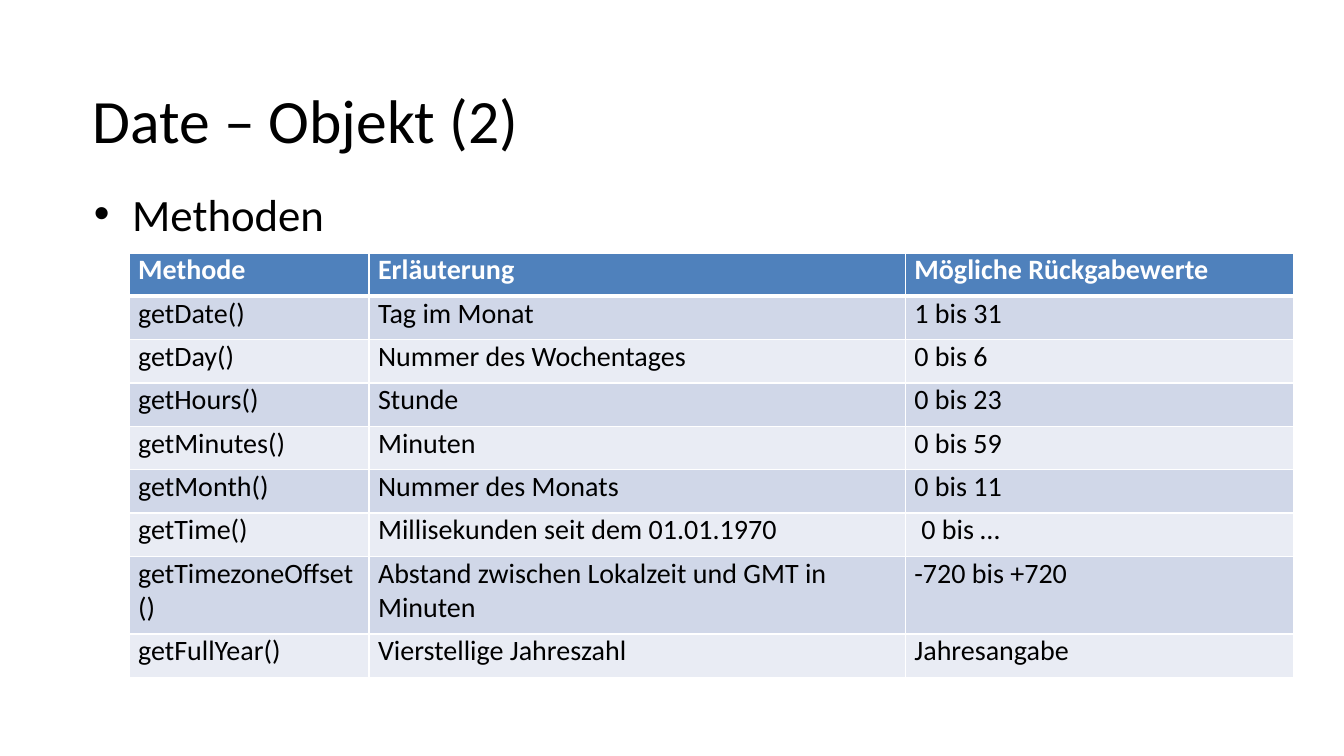
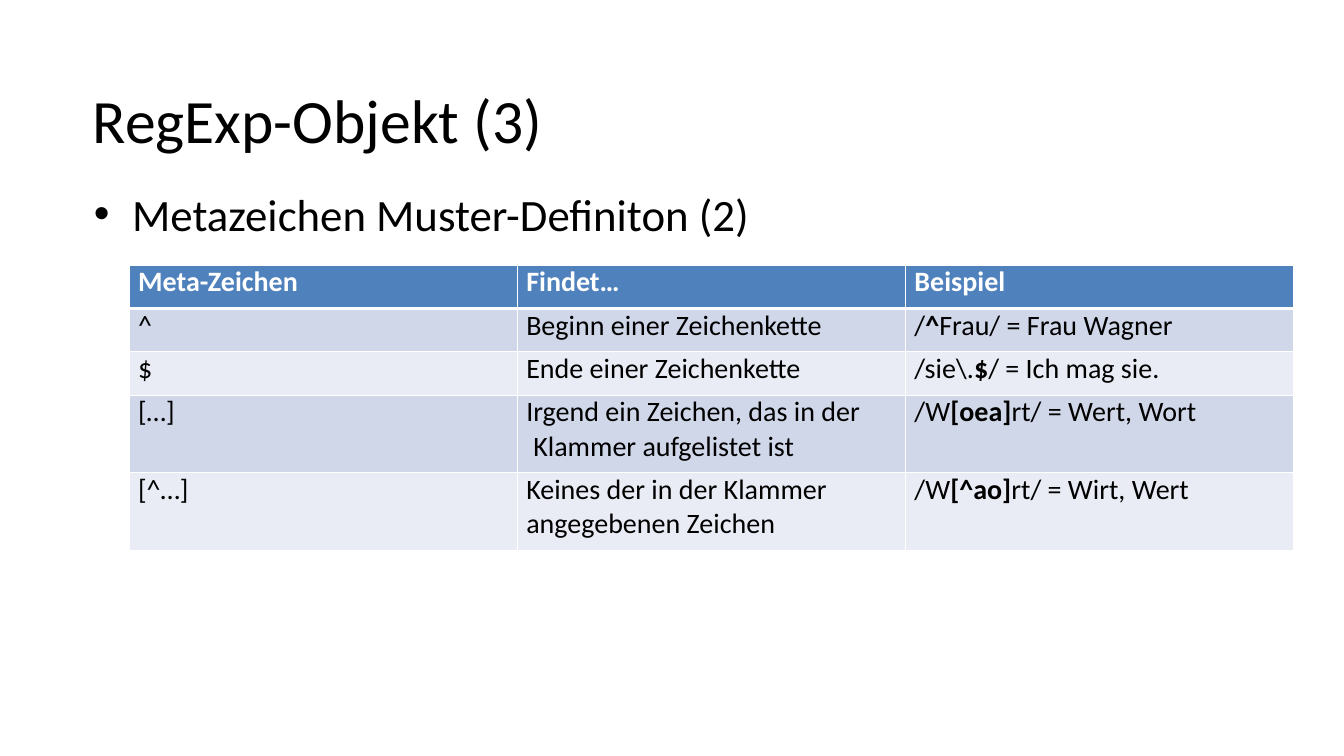
from lxml import etree
from pptx import Presentation, util as u
from pptx.dml.color import RGBColor
from pptx.enum import text
from pptx.oxml.ns import qn

# Shared style
FONT = "Calibri"
BLACK, WHITE = "000000", "FFFFFF"
HEADER_FILL, BAND_FILLS = "4F81BC", ("D0D7E8", "E9ECF4")
TITLE_BOX = (0.92, 0.5, 11.5, 1.35)
TITLE_FONT = {"name": FONT, "size": u.Pt(44), "bold": False}
BULLET_FONT = {"name": FONT, "size": u.Pt(32), "bold": False}
CELL_FONT = {"name": FONT, "size": u.Pt(20)}
FRAME = {"margin_left": 0, "margin_top": 0, "margin_right": 0, "margin_bottom": 0,
         "word_wrap": True, "auto_size": text.MSO_AUTO_SIZE.NONE}
CELL_MARGINS = {"margin_left": u.Inches(0.09), "margin_top": 0,
                "margin_right": 0, "margin_bottom": 0}
ROW_HEIGHT, EXTRA_LINE = 0.43, 0.34
LINE_INDENT = 0.07

# Table content: ** switches bold, a leading > indents the line
DATE_ROWS = [
    ("Methode", "Erläuterung", "Mögliche Rückgabewerte"),
    ("getDate()", "Tag im Monat", "1 bis 31"),
    ("getDay()", "Nummer des Wochentages", "0 bis 6"),
    ("getHours()", "Stunde", "0 bis 23"),
    ("getMinutes()", "Minuten", "0 bis 59"),
    ("getMonth()", "Nummer des Monats", "0 bis 11"),
    ("getTime()", "Millisekunden seit dem 01.01.1970", ">0 bis …"),
    ("getTimezoneOffset\n()", "Abstand zwischen Lokalzeit und GMT in\nMinuten",
     "-720 bis +720"),
    ("getFullYear()", "Vierstellige Jahreszahl", "Jahresangabe"),
]
REGEXP_ROWS = [
    ("Meta-Zeichen", "Findet…", "Beispiel"),
    ("^", "Beginn einer Zeichenkette", "/**^**Frau/ = Frau Wagner"),
    ("$", "Ende einer Zeichenkette", "/sie\\.**$**/ = Ich mag sie."),
    ("[…]", "Irgend ein Zeichen, das in der\n>Klammer aufgelistet ist",
     "/W**[oea]**rt/ = Wert, Wort"),
    ("[^…]", "Keines der in der Klammer\nangegebenen Zeichen",
     "/W**[^ao]**rt/ = Wirt, Wert"),
]


def color(value):
    return RGBColor.from_string(value)


def apply(target, values):
    for name, value in values.items():
        setattr(target, name, value)


def place(shape, box):
    names = ("left", "top", "width", "height")
    apply(shape, dict(zip(names, map(u.Inches, box))))


def fill_placeholder(shape, box, words, font, anchor):
    place(shape, box)
    frame = shape.text_frame
    apply(frame, FRAME)
    frame.vertical_anchor = anchor
    frame.text = words
    paragraph = frame.paragraphs[0]
    apply(paragraph, {"alignment": text.PP_ALIGN.LEFT, "space_before": u.Pt(0)})
    apply(paragraph.font, font)
    paragraph.font.color.rgb = color(BLACK)
    return paragraph


def add_borders(cell, widths):
    properties = cell._tc.get_or_add_tcPr()
    for side, points in widths.items():
        line = etree.SubElement(properties, qn(f"a:ln{side}"), w=str(u.Pt(points)))
        solid = etree.SubElement(line, qn("a:solidFill"))
        etree.SubElement(solid, qn("a:srgbClr"), val=WHITE)


def write_cell(cell, words, text_color, bold):
    apply(cell, CELL_MARGINS)
    frame = cell.text_frame
    for index, line in enumerate(words.split("\n")):
        paragraph = frame.add_paragraph() if index else frame.paragraphs[0]
        if line.startswith(">"):
            paragraph._p.get_or_add_pPr().set("marL", str(u.Inches(LINE_INDENT)))
        for part, piece in enumerate(line.removeprefix(">").split("**")):
            run = paragraph.add_run()
            run.text = piece
            apply(run.font, {**CELL_FONT, "bold": bold or part % 2 == 1})
            run.font.color.rgb = color(text_color)


def add_method_table(slide, left, top, widths, rows):
    heights = [ROW_HEIGHT + EXTRA_LINE * max(words.count("\n") for words in row)
               for row in rows]
    box = map(u.Inches, (left, top, sum(widths), sum(heights)))
    table = slide.shapes.add_table(len(rows), len(widths), *box).table
    apply(table, {"first_row": False, "horz_banding": False})
    for column, width in zip(table.columns, widths):
        column.width = u.Inches(width)
    for index, (row, height, entries) in enumerate(zip(table.rows, heights, rows)):
        row.height = u.Inches(height)
        header = index == 0
        # Thick rule between header and body
        borders = {"L": 1, "R": 1, "T": 3 if index == 1 else 1, "B": 3 if header else 1}
        for cell, words in zip(row.cells, entries):
            write_cell(cell, words, WHITE if header else BLACK, header)
            add_borders(cell, borders)
            cell.fill.solid()
            cell.fill.fore_color.rgb = color(
                HEADER_FILL if header else BAND_FILLS[(index - 1) % 2])


def add_table_slide(presentation, title, bullet, bullet_width, table_top, widths, rows):
    slide = presentation.slides.add_slide(presentation.slide_layouts[1])
    # Title and bullet
    fill_placeholder(slide.shapes.title, TITLE_BOX, title, TITLE_FONT,
                     text.MSO_ANCHOR.MIDDLE)
    paragraph = fill_placeholder(slide.placeholders[1], (0.92, 1.85, bullet_width, 0.57),
                                 bullet, BULLET_FONT, text.MSO_ANCHOR.TOP)
    properties = paragraph._p.get_or_add_pPr()
    properties.set("marL", str(u.Inches(0.39)))
    properties.set("indent", str(u.Inches(-0.38)))
    # Table
    add_method_table(slide, 1.28, table_top, widths, rows)


def main():
    presentation = Presentation()
    apply(presentation, {"slide_width": u.Inches(13.33), "slide_height": u.Inches(7.5)})
    add_table_slide(presentation, "Date – Objekt (2)", "Methoden", 2.31,
                    2.51, (2.38, 5.32, 3.85), DATE_ROWS)
    add_table_slide(presentation, "RegExp-Objekt (3)", "Metazeichen Muster-Definiton (2)",
                    6.54, 2.63, (3.85,) * 3, REGEXP_ROWS)
    presentation.save("out.pptx")


if __name__ == "__main__":
    main()
